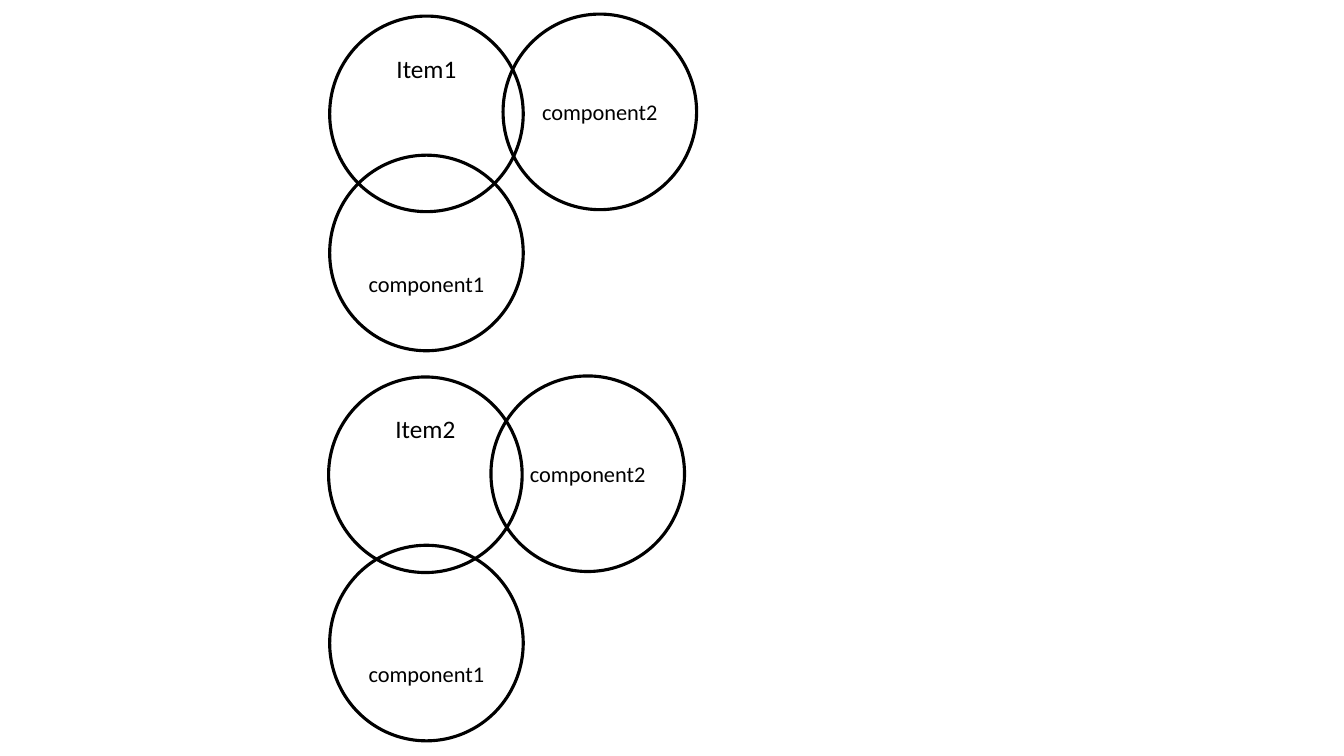
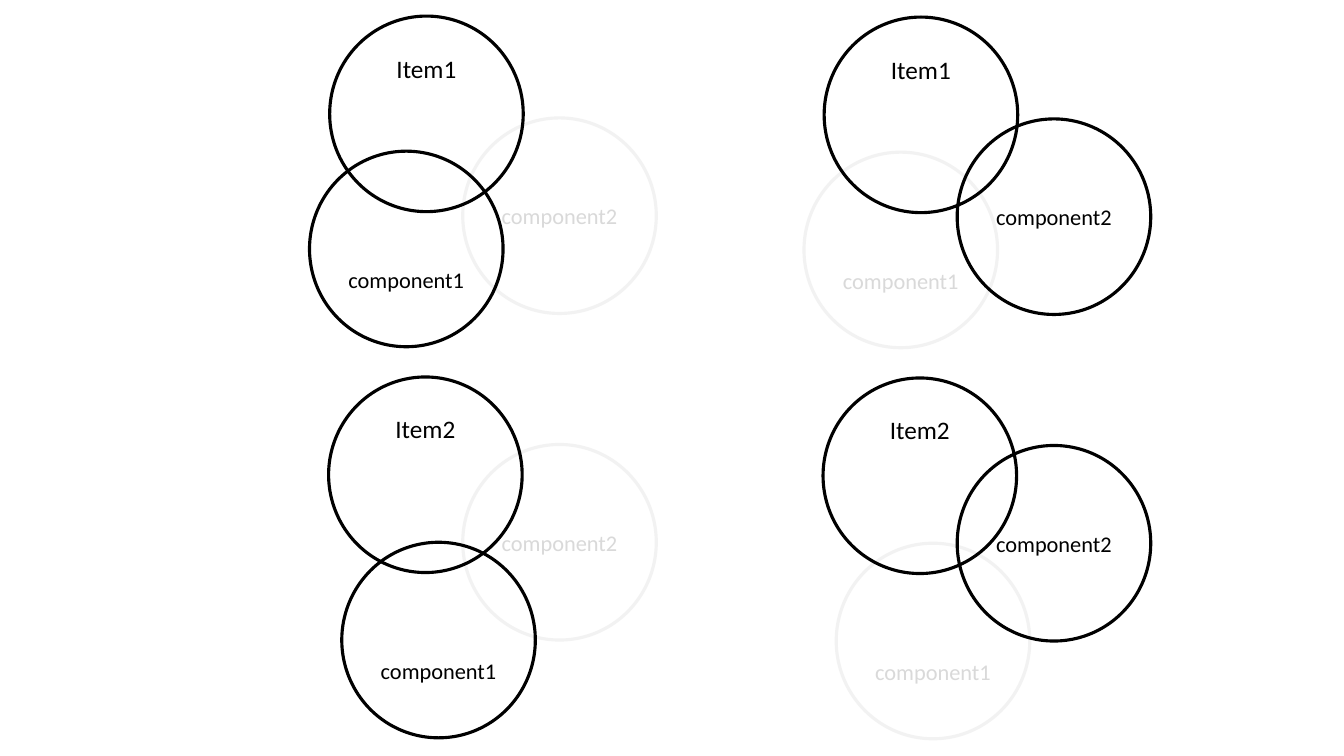
from pptx import Presentation
from pptx import util as u
from pptx.dml.color import RGBColor
from pptx.enum import shapes, text

deck = Presentation()
deck.slide_width = u.Inches(13.333)
deck.slide_height = u.Inches(7.5)
WIDE, HIGH = deck.slide_width, deck.slide_height

HUES = {
    "dark": {"line": "000000", "text": "000000"},
    "pale": {"line": "F2F2F2", "text": "D9D9D9"},
}
FONT = "Calibri"
SIZE = (0.144, 0.2587)
STEP = (0.3679, 0.0013)
PAD = 0.05
STYLES = {
    "Item1": (18, PAD, 0.96),
    "Item2": (18, PAD, 0.96),
    "component1": (16, 0.66, PAD),
    "component2": (16, PAD, PAD),
}


def ring(slide, label, left, top, tone="dark"):
    points, above, below = STYLES[label]
    oval = slide.shapes.add_shape(
        shapes.MSO_SHAPE.OVAL,
        round(left * WIDE), round(top * HIGH),
        round(SIZE[0] * WIDE), round(SIZE[1] * HIGH),
    )
    oval.shadow.inherit = False
    oval.fill.background()
    oval.line.color.rgb = RGBColor.from_string(HUES[tone]["line"])
    oval.line.width = u.Pt(2.25)
    frame = oval.text_frame
    frame.text = label
    frame.word_wrap = True
    frame.vertical_anchor = text.MSO_ANCHOR.MIDDLE
    frame.margin_left = frame.margin_right = u.Inches(PAD)
    frame.margin_top = u.Inches(above)
    frame.margin_bottom = u.Inches(below)
    para = frame.paragraphs[0]
    para.alignment = text.PP_ALIGN.CENTER
    font = para.runs[0].font
    font.name = FONT
    font.size = u.Pt(points)
    font.color.rgb = RGBColor.from_string(HUES[tone]["text"])


blank = deck.slide_layouts[6]
items = [("Item1", 0.2453, 0.0213), ("Item2", 0.2445, 0.4987)]

whole = deck.slides.add_slide(blank)
parts = [
    ("component1", 0.2453, 0.2053),
    ("component1", 0.2453, 0.7213),
    ("component2", 0.3743, 0.0187),
    ("component2", 0.3653, 0.4973),
]
for label, left, top in items + parts:
    ring(whole, label, left, top)

split = deck.slides.add_slide(blank)
parts = [
    ("component1", 0.2303, 0.2),
    ("component1", 0.2543, 0.7173),
    ("component2", 0.3443, 0.156),
    ("component2", 0.3443, 0.588),
]
faded = ["component2", "component1"]
for tone in ("pale", "dark"):
    for side, faint in enumerate(faded):
        for label, left, top in items + parts:
            if (label == faint) == (tone == "pale"):
                ring(split, label, left + side * STEP[0], top + side * STEP[1], tone)

deck.save("out.pptx")
